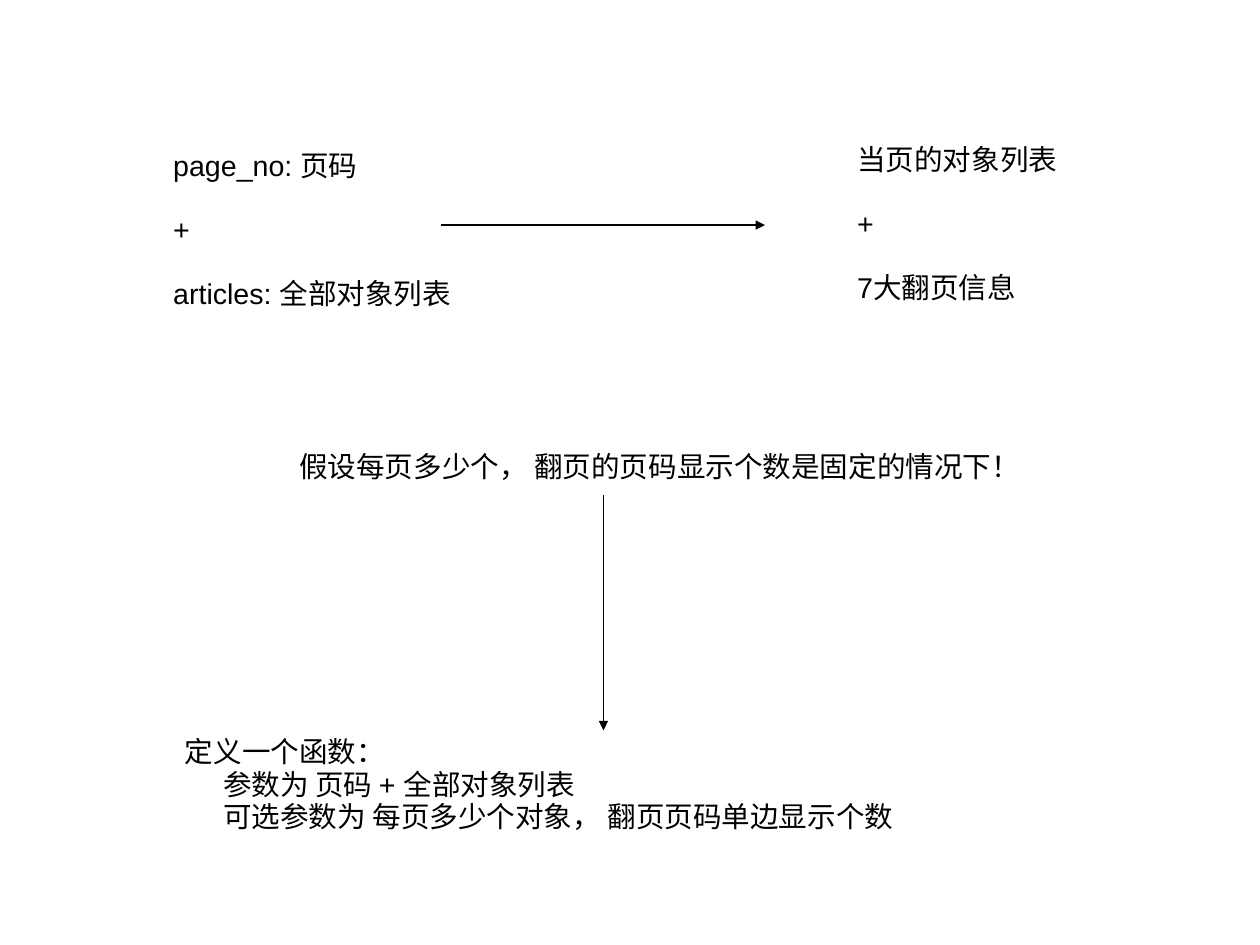
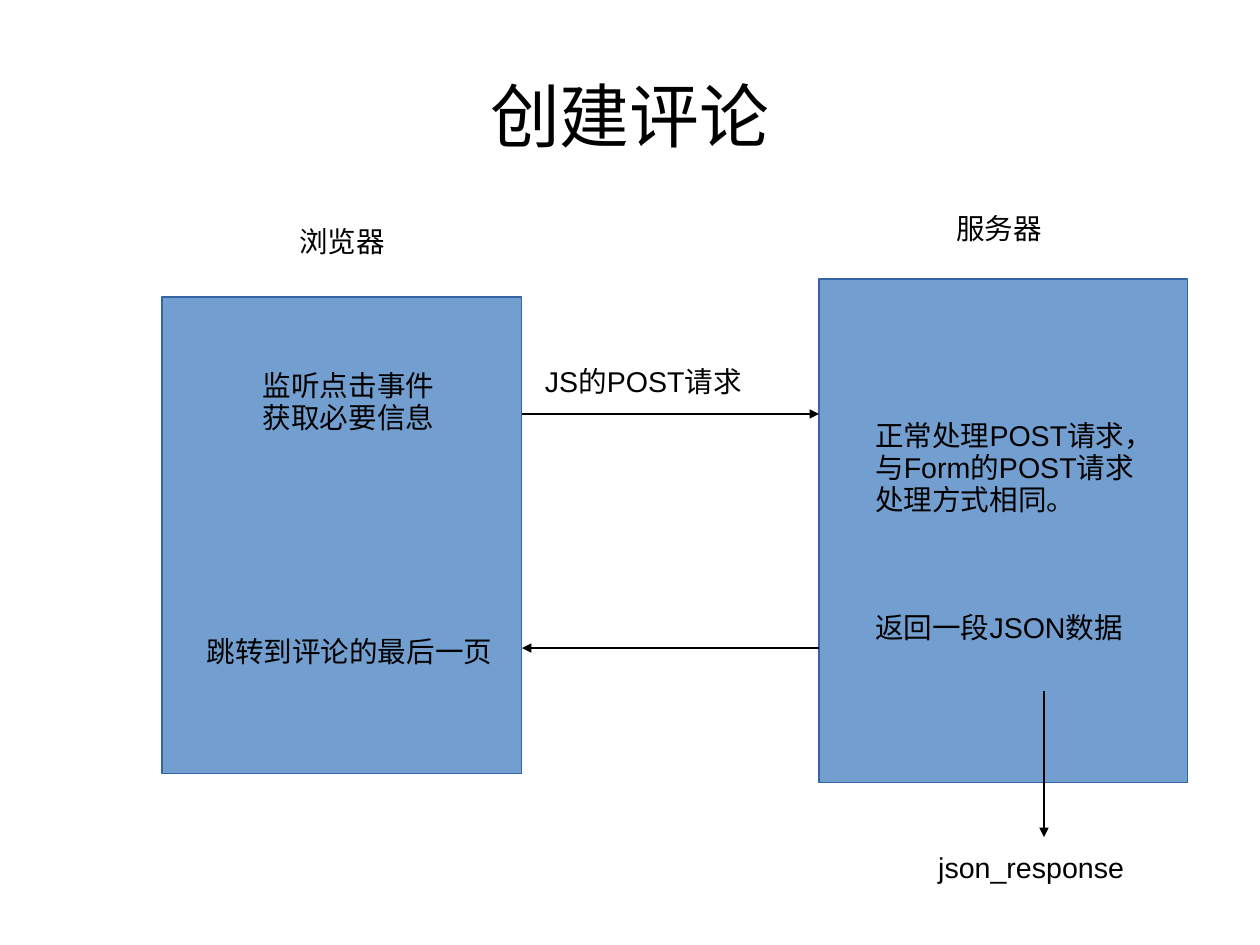
from lxml.etree import SubElement
from pptx import Presentation
from pptx.dml.color import RGBColor
from pptx.enum.shapes import MSO_CONNECTOR, MSO_SHAPE
from pptx.enum.text import MSO_ANCHOR, MSO_AUTO_SIZE, PP_ALIGN
from pptx.oxml.ns import qn
from pptx.util import Cm, Pt

INK = "000000"
PANEL_FILL = "729FCF"
PANEL_LINE = "3465A4"
FONT = "Arial"
LINE_SPACING = 0.94
BLANK_LINE = 20

hex_color = RGBColor.from_string


def write(holder, lines, size=18, align=PP_ALIGN.LEFT, insets=(0.25, 0.15, 0.25, 0.13)):
    frame = holder.text_frame
    frame.word_wrap = True
    frame.auto_size = MSO_AUTO_SIZE.NONE
    frame.margin_left, frame.margin_top, frame.margin_right, frame.margin_bottom = map(Cm, insets)
    frame.text = "\n".join(lines)
    for paragraph in frame.paragraphs:
        paragraph.alignment = align
        paragraph.line_spacing = LINE_SPACING
        paragraph.font.name = FONT
        paragraph.font.size = Pt(size)
        paragraph.font.color.rgb = hex_color(INK)
    return frame


def add_arrow(slide, *ends):
    arrow = slide.shapes.add_connector(MSO_CONNECTOR.STRAIGHT, *map(Cm, ends))
    arrow.line.color.rgb = hex_color(INK)
    arrow.line.width = Pt(0.75)
    SubElement(arrow.line._get_or_add_ln(), qn("a:tailEnd"), type="triangle")
    SubElement(arrow._element.spPr, qn("a:effectLst"))


deck = Presentation()
deck.slide_width, deck.slide_height = Cm(28), Cm(21)

paging = deck.slides.add_slide(deck.slide_layouts[6])
for box, lines in [
    ((3.6, 3.2, 7.2, 4.35), ["page_no: 页码", "+", "articles: 全部对象列表"]),
    ((18.8, 3.07, 5.2, 4.35), ["当页的对象列表", "+", "7大翻页信息"]),
]:
    frame = write(paging.shapes.add_textbox(*map(Cm, box)), lines)
    for paragraph in frame.paragraphs[1:]:
        paragraph.space_before = Pt(BLANK_LINE)

assumption = paging.shapes.add_textbox(Cm(6.4), Cm(9.9), Cm(16.8), Cm(1.1))
write(assumption, ["假设每页多少个， 翻页的页码显示个数是固定的情况下！"])

definition = paging.shapes.add_textbox(Cm(3.86), Cm(16.23), Cm(17), Cm(2.77))
definition_frame = write(definition, [
    "定义一个函数：",
    "参数为 页码 + 全部对象列表",
    "可选参数为 每页多少个对象， 翻页页码单边显示个数",
])
for parameter in definition_frame.paragraphs[1:]:
    parameter._p.get_or_add_pPr().set("marL", str(Cm(0.85)))

add_arrow(paging, 9.8, 5, 17, 5)
add_arrow(paging, 13.41, 11, 13.41, 16.23)

comments = deck.slides.add_slide(deck.slide_layouts[5])
title = comments.shapes.title
title.left, title.top, title.width, title.height = Cm(1.4), Cm(0.84), Cm(25.2), Cm(3.5)
title_frame = write(title, ["创建评论"], 44, PP_ALIGN.CENTER, (0, 0.1, 0, 0))
title_frame.vertical_anchor = MSO_ANCHOR.MIDDLE

for box in [(3.6, 6.6, 8, 10.6), (18.2, 6.2, 8.2, 11.2)]:
    panel = comments.shapes.add_shape(MSO_SHAPE.RECTANGLE, *map(Cm, box))
    panel.shadow.inherit = False
    panel.fill.solid()
    panel.fill.fore_color.rgb = hex_color(PANEL_FILL)
    panel.line.color.rgb = hex_color(PANEL_LINE)
    panel.line.width = Pt(0.75)

for box, lines in [
    ((6.4, 4.9, 2.6, 1.1), ["浏览器"]),
    ((21, 4.6, 2.6, 1.1), ["服务器"]),
    ((11.86, 8, 5.6, 1.1), ["JS的POST请求"]),
    ((5.59, 8.08, 4.5, 1.93), ["监听点击事件", "获取必要信息"]),
    ((4.34, 14, 7.1, 1.1), ["跳转到评论的最后一页"]),
    ((20.6, 18.8, 4.9, 0.97), ["json_response"]),
]:
    write(comments.shapes.add_textbox(*map(Cm, box)), lines)

handling = comments.shapes.add_textbox(Cm(19.2), Cm(9.2), Cm(7.2), Cm(6.15))
handling_frame = write(handling, [
    "正常处理POST请求，",
    "与Form的POST请求",
    "处理方式相同。",
    "返回一段JSON数据",
])
handling_frame.paragraphs[-1].space_before = Pt(3 * BLANK_LINE)

for ends in [(11.6, 9.2, 18.2, 9.2), (18.2, 14.4, 11.6, 14.4), (23.2, 15.35, 23.2, 18.6)]:
    add_arrow(comments, *ends)

deck.save("out.pptx")
